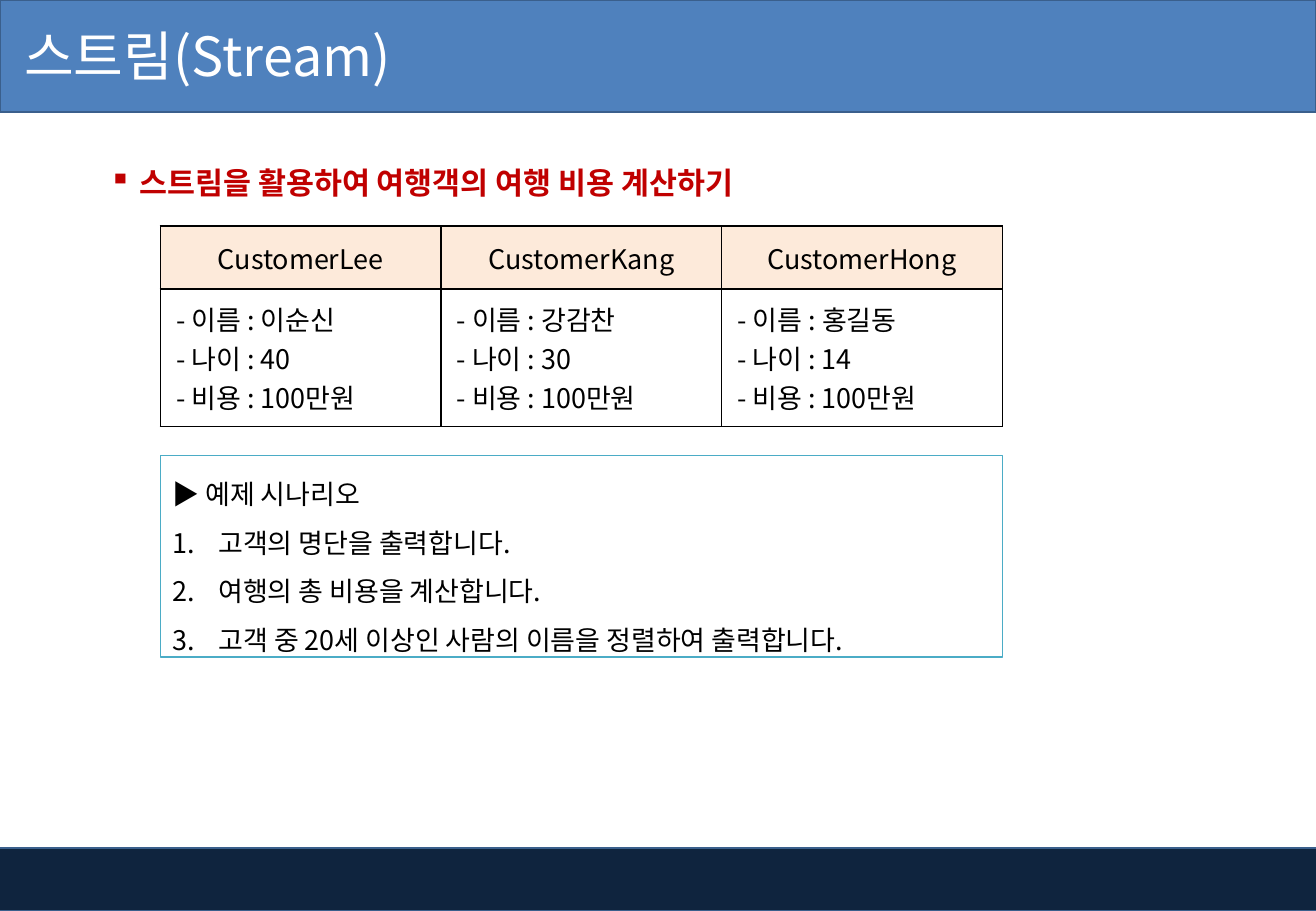
from dataclasses import dataclass
from typing import Any

from lxml import etree
from pptx import Presentation
from pptx.dml.color import RGBColor
from pptx.enum.shapes import MSO_SHAPE
from pptx.enum.text import MSO_ANCHOR, MSO_AUTO_SIZE, PP_ALIGN
from pptx.oxml.ns import qn
from pptx.util import Inches, Pt

RECT = MSO_SHAPE.RECTANGLE
TOP, MIDDLE = MSO_ANCHOR.TOP, MSO_ANCHOR.MIDDLE
GROW = MSO_AUTO_SIZE.SHAPE_TO_FIT_TEXT
LEFT, CENTER = PP_ALIGN.LEFT, PP_ALIGN.CENTER

FONT = "Noto Sans CJK KR"
WHITE = RGBColor(0xFF, 0xFF, 0xFF)
BLACK = RGBColor(0, 0, 0)
NAVY = RGBColor(0x0F, 0x24, 0x3E)
BLUE = RGBColor(0x4F, 0x81, 0xBD)
EDGE = RGBColor(0x3A, 0x5F, 0x8C)
RED = RGBColor(0xC0, 0, 0)
PEACH = RGBColor(0xFD, 0xEA, 0xDA)
TEAL = RGBColor(0x4B, 0xAC, 0xC6)


@dataclass
class Box:
    left: float
    top: float
    width: float
    height: float

    def place(self) -> tuple:
        return tuple(map(Inches, (self.left, self.top, self.width, self.height)))


@dataclass
class Guest:
    title: str
    name: str
    age: int
    cost: str = "100만원"

    def lines(self) -> list[str]:
        return [f"- 이름 : {self.name}", f"- 나이 : {self.age}", f"- 비용 : {self.cost}"]


GUESTS = [
    Guest("CustomerLee", "이순신", 40),
    Guest("CustomerKang", "강감찬", 30),
    Guest("CustomerHong", "홍길동", 14),
]
STEPS = [
    "고객의 명단을 출력합니다.",
    "여행의 총 비용을 계산합니다.",
    "고객 중 20세 이상인 사람의 이름을 정렬하여 출력합니다.",
]


def write(frame: Any, text: str, *, size: float = 16, color: RGBColor = BLACK,
          bold: bool = False, align: Any = LEFT, space: float = 1,
          mark: str = "", number: bool = False, indent: float = 0) -> None:
    """Add one paragraph, filling the first one if it is still empty."""
    para = frame.paragraphs[0]
    if para.runs:
        para = frame.add_paragraph()
    para.alignment, para.line_spacing = align, space
    props = para._p.get_or_add_pPr()
    if indent:
        props.set("marL", str(Inches(indent)))
        props.set("indent", str(-Inches(indent)))
    if mark:
        etree.SubElement(props, qn("a:buChar"), char=mark)
    if number:
        etree.SubElement(props, qn("a:buFont"), typeface="+mj-lt")
        etree.SubElement(props, qn("a:buAutoNum"), type="arabicPeriod")
    run = para.add_run()
    run.text = text
    font = run.font
    font.name, font.size, font.bold = FONT, Pt(size), bold
    font.color.rgb = color
    etree.SubElement(run._r.get_or_add_rPr(), qn("a:ea"), typeface=FONT)


def panel(slide: Any, box: Box, fill: RGBColor, line: RGBColor) -> Any:
    shape = slide.shapes.add_shape(RECT, *box.place())
    shape.shadow.inherit = False
    shape.fill.solid()
    shape.fill.fore_color.rgb = fill
    shape.line.color.rgb = line
    shape.line.width = Pt(1)
    return shape


def label(slide: Any, box: Box, anchor: Any = TOP) -> Any:
    frame = slide.shapes.add_textbox(*box.place()).text_frame
    frame.word_wrap = True
    frame.vertical_anchor = anchor
    return frame


def fill_cell(cell: Any, lines: list[str], fill: RGBColor, align: Any,
              left: float) -> None:
    cell.vertical_anchor = MIDDLE
    cell.margin_left, cell.margin_right = Inches(left), Inches(0.08)
    cell.margin_top = cell.margin_bottom = Inches(0.04)
    for text in lines:
        write(cell.text_frame, text, align=align)
    # Borders come before the fill in the cell properties
    props = cell._tc.get_or_add_tcPr()
    for side in ("a:lnL", "a:lnR", "a:lnT", "a:lnB"):
        edge = etree.SubElement(props, qn(side), w=str(Pt(1)))
        paint = etree.SubElement(edge, qn("a:solidFill"))
        etree.SubElement(paint, qn("a:srgbClr"), val=str(BLACK))
    cell.fill.solid()
    cell.fill.fore_color.rgb = fill


def guest_table(slide: Any, box: Box, heights: list[float]) -> None:
    table = slide.shapes.add_table(2, len(GUESTS), *box.place()).table
    for row, height in zip(table.rows, heights):
        row.height = Inches(height)
    for col, guest in enumerate(GUESTS):
        table.columns[col].width = Inches(box.width / len(GUESTS))
        fill_cell(table.cell(0, col), [guest.title], PEACH, CENTER, 0.08)
        fill_cell(table.cell(1, col), guest.lines(), WHITE, LEFT, 0.13)


def main() -> None:
    deck = Presentation()
    deck.slide_width, deck.slide_height = Inches(10.83), Inches(7.5)
    slide = deck.slides.add_slide(deck.slide_layouts[6])

    # Bands and title
    panel(slide, Box(-0.04, 6.98, 10.88, 0.52), NAVY, EDGE)
    panel(slide, Box(0, 0, 10.83, 0.92), BLUE, EDGE)
    title = label(slide, Box(0, -0.02, 6.78, 0.94), MIDDLE)
    title.margin_left = Inches(0.2)
    write(title, "스트림(Stream)", size=32, color=WHITE)

    # Heading
    head = label(slide, Box(0.8, 1.15, 7.29, 0.63))
    write(head, "스트림을 활용하여 여행객의 여행 비용 계산하기", size=18,
          color=RED, bold=True, space=1.5, mark="▪", indent=0.25)

    # Customers
    guest_table(slide, Box(1.32, 1.86, 6.93, 1.65), [0.52, 1.13])

    # Scenario
    plot = panel(slide, Box(1.32, 3.75, 6.93, 1.66), WHITE, TEAL).text_frame
    plot.word_wrap, plot.auto_size = True, GROW
    plot.vertical_anchor = TOP
    write(plot, "▶ 예제 시나리오", space=1.5)
    for step in STEPS:
        write(plot, step, space=1.5, number=True, indent=0.38)

    deck.save("out.pptx")


if __name__ == "__main__":
    main()
